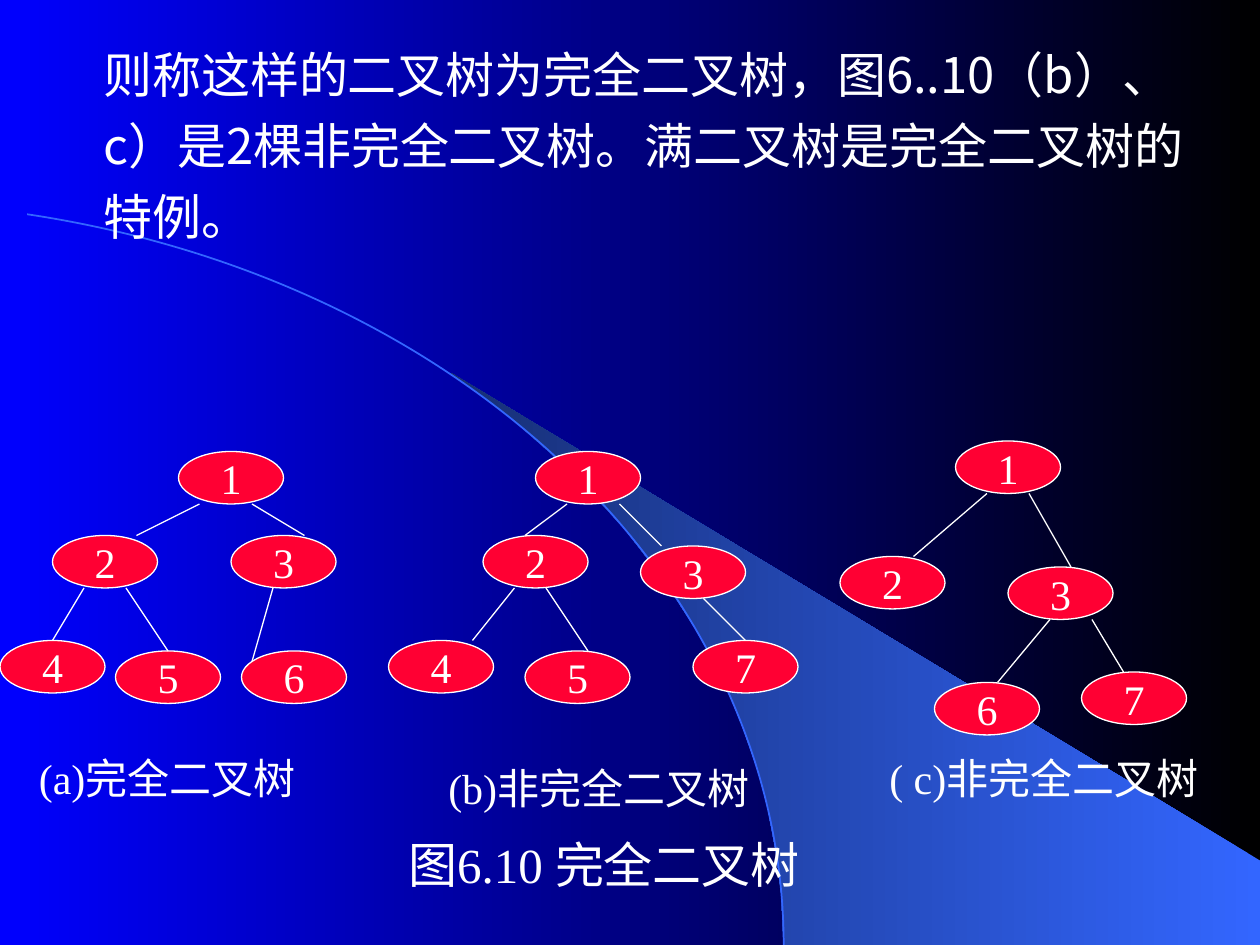
from dataclasses import dataclass

from lxml.etree import SubElement
from pptx import Presentation
from pptx.dml.color import RGBColor
from pptx.enum.shapes import MSO_CONNECTOR, MSO_SHAPE
from pptx.enum.text import MSO_ANCHOR, MSO_AUTO_SIZE, PP_ALIGN
from pptx.oxml.ns import qn
from pptx.util import Inches, Pt


@dataclass(frozen=True)
class Theme:
    white: RGBColor = RGBColor(0xFF, 0xFF, 0xFF)
    black: RGBColor = RGBColor(0x00, 0x00, 0x00)
    blue: RGBColor = RGBColor(0x00, 0x00, 0xFF)
    sky: RGBColor = RGBColor(0x33, 0x66, 0xFF)
    navy: RGBColor = RGBColor(0x17, 0x2F, 0x75)
    red: RGBColor = RGBColor(0xFF, 0x00, 0x33)
    latin: str = "Times New Roman"
    chinese: str = "Noto Sans CJK SC"
    large: int = 28
    small: int = 24
    thin: float = 0.75


@dataclass(frozen=True)
class Node:
    label: str
    left: int  # in grid units
    top: int


@dataclass(frozen=True)
class Edge:
    parent: str
    child: str
    start: int  # offset from the parent's bottom middle
    end: int  # offset from the child's top middle
    drop: int = 0  # how far below the child's top the edge ends


@dataclass(frozen=True)
class Tree:
    caption: str
    caption_box: tuple[float, float, float, float]
    nodes: list[Node]
    edges: list[Edge]


THEME = Theme()
NODE_WIDTH, NODE_HEIGHT = 10, 5

BODY_LINES = [
    "则称这样的二叉树为完全二叉树，图6..10（b）、",
    "c）是2棵非完全二叉树。满二叉树是完全二叉树的",
    "特例。",
]

WEDGE = [
    (6.22, 7.5), (10, 7.5), (10, 6.83), (3.58, 2.96), (3.86, 3.17), (4.08, 3.34),
    (4.34, 3.57), (4.59, 3.8), (4.96, 4.2), (5.28, 4.62), (5.52, 4.99), (5.73, 5.37),
    (5.89, 5.76), (6.01, 6.1), (6.09, 6.4), (6.16, 6.77), (6.2, 7.09),
]

TREES = [
    Tree(
        "(a)完全二叉树", (0.21, 5.92, 2.31, 0.5),
        [Node("1", 17, 43), Node("2", 5, 51), Node("3", 22, 51),
         Node("4", 0, 61), Node("5", 11, 62), Node("6", 23, 62)],
        [Edge("1", "2", -3, 3), Edge("1", "3", 2, 2), Edge("2", "4", -2, 0),
         Edge("2", "5", 2, 0), Edge("3", "6", -1, -4, drop=1)],
    ),
    Tree(
        "(b)非完全二叉树", (3.46, 6, 2.67, 0.5),
        [Node("1", 51, 43), Node("2", 46, 51), Node("3", 61, 52),
         Node("4", 37, 61), Node("5", 50, 62), Node("7", 66, 61)],
        [Edge("1", "2", -2, -1), Edge("1", "3", 3, -3), Edge("2", "4", -2, 3),
         Edge("2", "5", 1, 1), Edge("3", "7", 1, 0)],
    ),
    Tree(
        "( c)非完全二叉树", (6.96, 5.92, 2.73, 0.5),
        [Node("1", 91, 42), Node("2", 80, 53), Node("3", 96, 54),
         Node("6", 89, 65), Node("7", 103, 64)],
        [Edge("1", "2", -2, 2), Edge("1", "3", 2, 1), Edge("3", "6", -1, 1),
         Edge("3", "7", 3, -1)],
    ),
]


def grid(units: int) -> int:
    """Twelve grid units make an inch."""
    return Inches(units / 12)


def set_gradient(fill, first: RGBColor, last: RGBColor) -> None:
    fill.gradient()
    fill.gradient_angle = 180
    for stop, color in zip(fill.gradient_stops, (first, last)):
        stop.color.rgb = color


def place(shape, box: tuple[float, float, float, float]) -> None:
    shape.left, shape.top, shape.width, shape.height = map(Inches, box)


def write(paragraph, text: str, size: int, font: str) -> None:
    run = paragraph.add_run()
    run.text = text
    run.font.size = Pt(size)
    run.font.name = font
    run.font.color.rgb = THEME.white
    SubElement(run.font._element, qn("a:ea")).set("typeface", THEME.chinese)


def keep_on_one_line(frame) -> None:
    frame.word_wrap = False
    frame.auto_size = MSO_AUTO_SIZE.NONE
    frame.margin_right = 0  # spare room so that the last character fits


def add_backdrop(slide) -> None:
    set_gradient(slide.background.fill, THEME.black, THEME.blue)
    builder = slide.shapes.build_freeform(
        Inches(WEDGE[0][0]), Inches(WEDGE[0][1]))
    builder.add_line_segments([(Inches(x), Inches(y)) for x, y in WEDGE[1:]])
    wedge = builder.convert_to_shape()
    wedge.shadow.inherit = False
    set_gradient(wedge.fill, THEME.sky, THEME.navy)
    wedge.line.fill.background()

    arc = slide.shapes.add_shape(
        MSO_SHAPE.ARC, Inches(-8.49), Inches(1.6), Inches(14.71), Inches(11.81))
    arc.adjustments[0] = 283.1 * 0.6  # degrees in units of 1/0.6
    arc.adjustments[1] = 0
    arc.shadow.inherit = False
    arc.fill.background()
    arc.line.color.rgb = THEME.sky
    arc.line.width = Pt(1)


def add_node(slide, node: Node):
    shape = slide.shapes.add_shape(
        MSO_SHAPE.OVAL, grid(node.left), grid(node.top),
        grid(NODE_WIDTH), grid(NODE_HEIGHT))
    shape.shadow.inherit = False
    shape.fill.solid()
    shape.fill.fore_color.rgb = THEME.red
    shape.line.color.rgb = THEME.white
    shape.line.width = Pt(THEME.thin)
    frame = shape.text_frame
    frame.word_wrap = False
    frame.vertical_anchor = MSO_ANCHOR.MIDDLE
    paragraph = frame.paragraphs[0]
    paragraph.alignment = PP_ALIGN.CENTER
    write(paragraph, node.label, THEME.small, THEME.latin)
    return shape


def add_edge(slide, edge: Edge, parent: Node, child: Node, child_shape) -> None:
    middle = NODE_WIDTH // 2
    line = slide.shapes.add_connector(
        MSO_CONNECTOR.STRAIGHT,
        grid(parent.left + middle + edge.start), grid(parent.top + NODE_HEIGHT),
        grid(child.left + middle + edge.end), grid(child.top + edge.drop))
    line.line.color.rgb = THEME.white
    line.line.width = Pt(THEME.thin)
    SubElement(line._element.spPr, qn("a:effectLst"))
    if edge.end == 0 and edge.drop == 0:
        line.end_connect(child_shape, 0)


def add_tree(slide, tree: Tree) -> None:
    nodes = {node.label: node for node in tree.nodes}
    shapes = {node.label: add_node(slide, node) for node in tree.nodes}
    for edge in tree.edges:
        add_edge(slide, edge, nodes[edge.parent], nodes[edge.child], shapes[edge.child])
    caption = slide.shapes.add_textbox(*map(Inches, tree.caption_box))
    keep_on_one_line(caption.text_frame)
    write(caption.text_frame.paragraphs[0], tree.caption, THEME.small, THEME.latin)


def fill_placeholder(shape, box, lines: list[str], font: str, space: float) -> None:
    place(shape, box)
    frame = shape.text_frame
    keep_on_one_line(frame)
    frame.vertical_anchor = MSO_ANCHOR.TOP
    for index, text in enumerate(lines):
        paragraph = frame.add_paragraph() if index else frame.paragraphs[0]
        paragraph.alignment = PP_ALIGN.LEFT
        paragraph.space_before = Pt(space)
        properties = paragraph._p.get_or_add_pPr()
        properties.set("marL", "0")
        properties.set("indent", "0")
        SubElement(properties, qn("a:buNone"))
        write(paragraph, text, THEME.large, font)
    shape._element.getparent().append(shape._element)  # bring to front


def main() -> None:
    presentation = Presentation()
    presentation.slide_width, presentation.slide_height = Inches(10), Inches(7.5)
    slide = presentation.slides.add_slide(presentation.slide_layouts[1])
    add_backdrop(slide)
    for tree in TREES:
        add_tree(slide, tree)
    # Figure title and body text
    fill_placeholder(slide.shapes.title, (3.14, 6.57, 3.49, 0.57),
                     ["图6.10 完全二叉树"], THEME.latin, 0)
    fill_placeholder(slide.placeholders[1], (0.72, 0.3, 9.11, 2.26),
                     BODY_LINES, THEME.chinese, 7)
    presentation.save("out.pptx")


if __name__ == "__main__":
    main()
